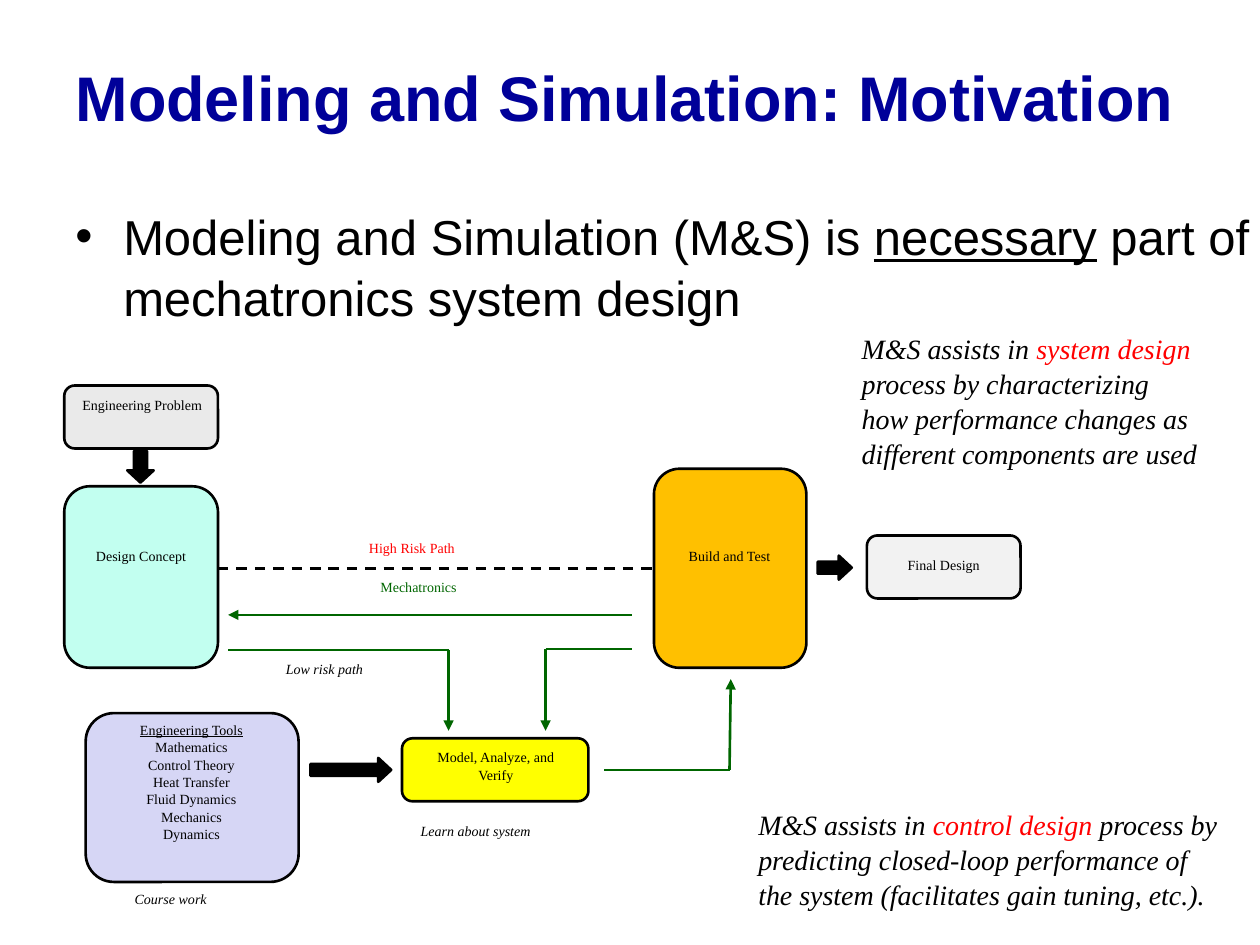
from itertools import pairwise

from lxml import etree
from pptx import Presentation
from pptx.dml.color import RGBColor
from pptx.enum.dml import MSO_LINE
from pptx.enum.shapes import MSO_CONNECTOR, MSO_SHAPE
from pptx.enum.text import MSO_ANCHOR, MSO_AUTO_SIZE, PP_ALIGN
from pptx.oxml.ns import qn
from pptx.util import Inches, Pt

LEFT, CENTER = PP_ALIGN.LEFT, PP_ALIGN.CENTER
ROUNDED, DOWN_ARROW = MSO_SHAPE.ROUNDED_RECTANGLE, MSO_SHAPE.DOWN_ARROW
STRAIGHT, DASH = MSO_CONNECTOR.STRAIGHT, MSO_LINE.DASH
BLACK, RED, GREEN, NAVY = "000000", "FF0000", "006600", "000099"
SANS, SERIF = "Arial", "Times New Roman"
LINE_SPACING = 1.04

TITLE = "Modeling and Simulation: Motivation"
BULLET = [("Modeling and Simulation (M&S) is ", {}),
          ("necessary", {"underline": True}),
          (" part of mechatronics system design", {})]

# left, top, width, height, fill
STAGES = [
    (0.51, 3.06, 1.22, 0.5, "EAEAEA"),
    (0.51, 3.86, 1.22, 1.44, "C2FFF0"),
    (0.68, 5.66, 1.69, 1.34, "D6D6F5"),
    (3.19, 5.86, 1.48, 0.5, "FFFF00"),
    (5.19, 3.72, 1.21, 1.58, "FFC000"),
    (6.88, 4.25, 1.22, 0.5, "F2F2F2"),
]
# left, top, width, height, lines
STAGE_LABELS = [
    (0.53, 3.09, 1.2, 0.24, ["Engineering Problem"]),
    (0.54, 4.29, 1.16, 0.24, ["Design Concept"]),
    (5.28, 4.29, 1.02, 0.24, ["Build and Test"]),
    (6.98, 4.36, 1.02, 0.24, ["Final Design"]),
    (3.24, 5.89, 1.39, 0.37, ["Model, Analyze, and Verify"]),
]
TOOLS_AT = (0.83, 5.67, 1.38, 1.03)
TOOLS_HEADING = "Engineering Tools"
TOOLS = ["Mathematics", "Control Theory", "Heat Transfer", "Fluid Dynamics",
         "Mechanics", "Dynamics"]
# left, top, width, text, format
PATH_LABELS = [
    (2.83, 4.23, 2.82, "High Risk Path", {"color": RED}),
    (2.92, 4.54, 2.82, "Mechatronics", {"color": GREEN}),
    (0.97, 7.01, 1.4, "Course work", {"italic": True}),
    (3.24, 6.47, 1.4, "Learn about system", {"italic": True}),
    (2.17, 5.19, 1.4, "Low risk path", {"italic": True}),
]
# left, top, width, height, before, highlighted, after
REMARKS = [
    (5.92, 6.35, 3.93, 0.9, "M&S assists in ", "control design ",
     "process by predicting closed-loop performance of the system "
     "(facilitates gain tuning, etc.)."),
    (6.74, 2.57, 2.89, 1.17, "M&S assists in ", "system design",
     " process by characterizing how performance changes as different "
     "components are used"),
]
HIGH_RISK_PATH = [(1.73, 4.51), (5.19, 4.51)]
# Each route lists its arrow tip first
LOW_RISK_ROUTES = [
    [(1.81, 4.88), (5.02, 4.88)],
    [(3.56, 5.8), (3.56, 5.16), (1.81, 5.16)],
    [(4.33, 5.8), (4.33, 5.15), (5.02, 5.15)],
    [(5.8, 5.39), (5.79, 6.11), (4.79, 6.11)],
]
# left, top, width, height, rotation, head length
BLOCK_ARROWS = [
    (1.01, 3.58, 0.21, 0.25, 0, 0.46),
    (6.53, 4.37, 0.19, 0.27, 270, 0.54),
    (2.69, 5.79, 0.19, 0.64, 270, 0.54),
]


def rgb(color):
    return RGBColor.from_string(color)


def write(paragraph, runs, align=LEFT, **base):
    """Fill a paragraph with (text, format) runs laid over a base format."""
    paragraph.alignment = align
    paragraph.line_spacing = LINE_SPACING
    for text, own in runs:
        run = paragraph.add_run()
        run.text = text
        values = {"color": BLACK, **base, **own}
        run.font.color.rgb = rgb(values.pop("color"))
        for name, value in values.items():
            setattr(run.font, name, value)


def add_text(slide, at, paragraphs, **base):
    box = slide.shapes.add_textbox(*map(Inches, at))
    frame = box.text_frame
    frame.word_wrap = True
    frame.auto_size = MSO_AUTO_SIZE.SHAPE_TO_FIT_TEXT
    for i, runs in enumerate(paragraphs):
        paragraph = frame.add_paragraph() if i else frame.paragraphs[0]
        write(paragraph, runs, **base)
    return box


def add_block(slide, kind, at, fill, adjustments):
    block = slide.shapes.add_shape(kind, *map(Inches, at))
    block.shadow.inherit = False
    block.fill.solid()
    block.fill.fore_color.rgb = rgb(fill)
    block.line.color.rgb = rgb(BLACK)
    block.line.width = Pt(1.5)
    for i, value in enumerate(adjustments):
        block.adjustments[i] = value
    return block


def add_line(slide, start, end, color, arrow=False, dash=None):
    line = slide.shapes.add_connector(STRAIGHT, *map(Inches, start + end))
    line.line.color.rgb = rgb(color)
    line.line.width = Pt(1.5)
    if dash:
        line.line.dash_style = dash
    if arrow:
        etree.SubElement(line.line._get_or_add_ln(), qn("a:headEnd"),
                         type="triangle", w="med", len="med")
    etree.SubElement(line._element.spPr, qn("a:effectLst"))


def add_bullet(paragraph):
    properties = paragraph._p.get_or_add_pPr()
    properties.set("marL", str(Inches(0.38)))
    properties.set("indent", str(Inches(-0.38)))
    etree.SubElement(properties, qn("a:buFont"), typeface=SANS)
    etree.SubElement(properties, qn("a:buChar"), char="•")


def main():
    deck = Presentation()
    deck.slide_width, deck.slide_height = Inches(10), Inches(7.5)
    slide = deck.slides.add_slide(deck.slide_layouts[5])

    title = slide.shapes.title
    title.left, title.top, title.width, title.height = map(
        Inches, (0.5, 0.25, 8.97, 1))
    title.text_frame.vertical_anchor = MSO_ANCHOR.MIDDLE
    write(title.text_frame.paragraphs[0], [(TITLE, {})],
          name=SANS, size=Pt(36), bold=True, color=NAVY)

    body = add_text(slide, (0.5, 1.57, 9.52, 5.42), [BULLET],
                    name=SANS, size=Pt(28))
    body.text_frame.auto_size = MSO_AUTO_SIZE.NONE
    add_bullet(body.text_frame.paragraphs[0])

    for *at, fill in STAGES:
        add_block(slide, ROUNDED, at, fill, [0.167])

    small = {"name": SERIF, "size": Pt(8)}
    for *at, lines in STAGE_LABELS:
        add_text(slide, at, [[(line, {})] for line in lines],
                 align=CENTER, **small)
    tools = [[(TOOLS_HEADING, {"underline": True})]]
    tools += [[(tool, {})] for tool in TOOLS]
    add_text(slide, TOOLS_AT, tools, align=CENTER, **small)
    for left, top, width, label, look in PATH_LABELS:
        add_text(slide, (left, top, width, 0.24), [[(label, look)]], **small)

    add_line(slide, *HIGH_RISK_PATH, BLACK, dash=DASH)
    for route in LOW_RISK_ROUTES:
        for i, (start, end) in enumerate(pairwise(route)):
            add_line(slide, start, end, GREEN, arrow=i == 0)

    for *at, rotation, head in BLOCK_ARROWS:
        arrow = add_block(slide, DOWN_ARROW, at, BLACK, [0.5, head])
        arrow.rotation = rotation

    for *at, before, highlighted, after in REMARKS:
        runs = [(before, {}), (highlighted, {"color": RED}), (after, {})]
        add_text(slide, at, [runs], name=SERIF, size=Pt(16), italic=True)

    deck.save("out.pptx")


if __name__ == "__main__":
    main()
